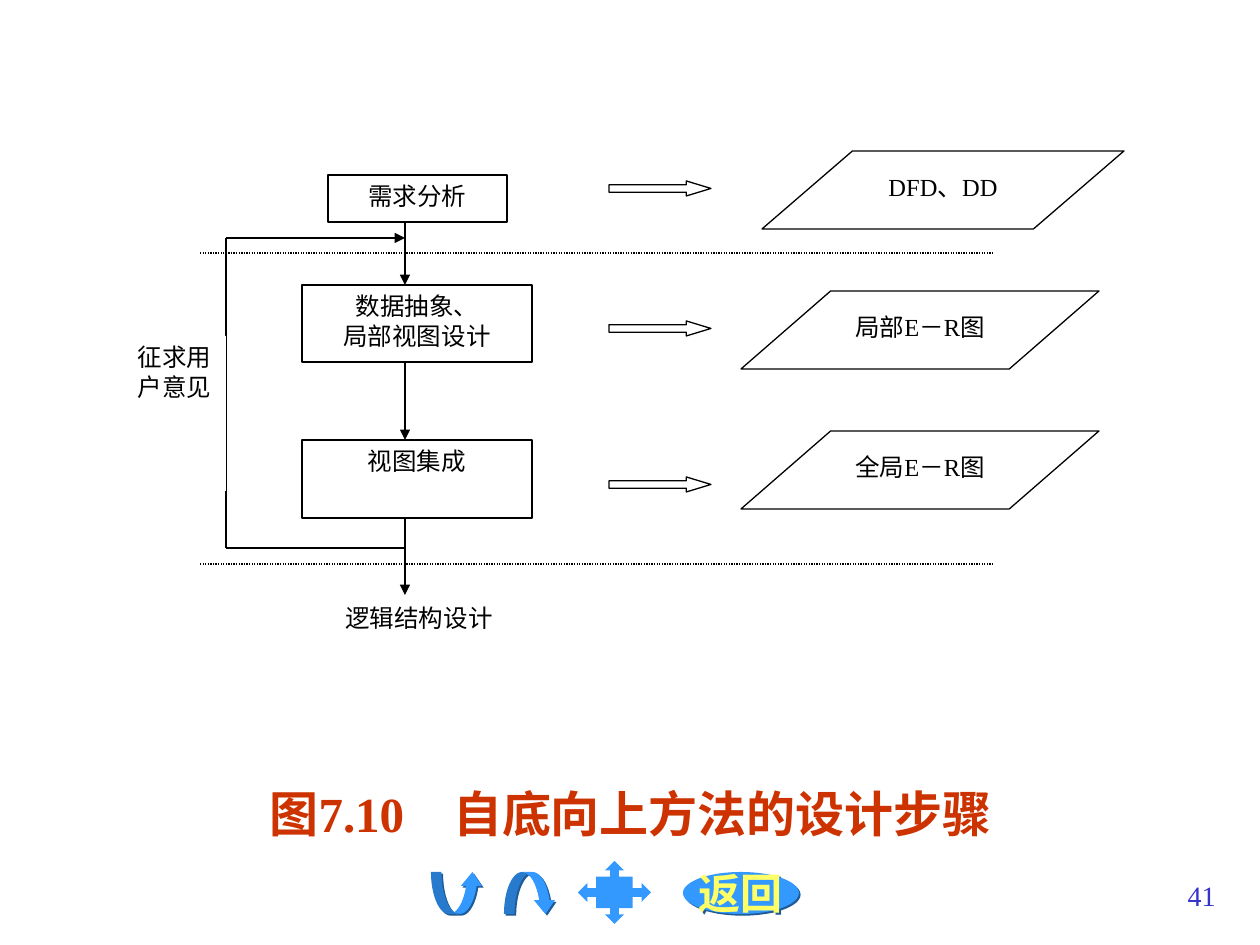
import pptx
import pptx.dml.color
import pptx.enum.dml
import pptx.enum.shapes
import pptx.enum.text
import pptx.oxml
import pptx.oxml.ns
import pptx.util

SCALE = 914400 / 126  # EMU per px
KINDS = pptx.enum.shapes.MSO_SHAPE
ALIGN = pptx.enum.text.PP_ALIGN
ANCHOR = pptx.enum.text.MSO_ANCHOR
NS = pptx.oxml.ns.nsdecls("a")
BLACK, WHITE, BLUE = "000000", "FFFFFF", "3399FF"


def rgb(color):
    return pptx.dml.color.RGBColor.from_string(color)


def write(shape, text, size, color, align=ALIGN.CENTER, bold=False, anchor=ANCHOR.TOP):
    """Fill a shape's text frame, one paragraph per line of text."""
    frame = shape.text_frame
    frame.text = text
    frame.word_wrap = True
    frame.auto_size = pptx.enum.text.MSO_AUTO_SIZE.NONE
    frame.vertical_anchor = anchor
    for paragraph in frame.paragraphs:
        paragraph.alignment = align
        paragraph.font.name = "Times New Roman"
        paragraph.font.size = pptx.util.Pt(size)
        paragraph.font.bold = bold
        paragraph.font.color.rgb = rgb(color)


presentation = pptx.Presentation()
presentation.slide_width = round(1260 * SCALE)
presentation.slide_height = round(945 * SCALE)
slide = presentation.slides.add_slide(presentation.slide_layouts[5])
shapes = slide.shapes

# Caption below the diagram
caption = shapes.title
caption.left, caption.top, caption.width, caption.height = [
    round(v * SCALE) for v in (95, 777, 1071, 84)]
write(caption, "图7.10　自底向上方法的设计步骤", 28, "CC3300", bold=True)

# Navigation buttons: kind, box, adjustments, shadow, text
buttons = [
    (KINDS.CURVED_UP_ARROW, (431, 872, 52, 42), (0.25, 0.5, 0.33), True, ""),
    (KINDS.CURVED_DOWN_ARROW, (504, 872, 52, 42), (0.25, 0.5, 0.33), True, ""),
    (KINDS.OVAL, (683, 872, 116, 42), (), True, "返回"),
    (KINDS.QUAD_ARROW_CALLOUT, (578, 861, 73, 63), (0.14, 0.15, 0.15, 0.5), False, ""),
]
for kind, box, adjustments, shadowed, text in buttons:
    button = shapes.add_shape(kind, *[round(v * SCALE) for v in box])
    button.shadow.inherit = False
    button.fill.solid()
    button.fill.fore_color.rgb = rgb(BLUE)
    button.line.fill.background()
    for i, value in enumerate(adjustments):
        button.adjustments[i] = value
    if shadowed:
        effects = button._element.spPr.find(pptx.oxml.ns.qn("a:effectLst"))
        effects.append(pptx.oxml.parse_xml(
            f'<a:outerShdw {NS} dist="17780" dir="2700000" algn="ctr" rotWithShape="0">'
            '<a:srgbClr val="1E5B98"/></a:outerShdw>'))
    if text:
        write(button, text, 24, "FFFF66", bold=True, anchor=ANCHOR.MIDDLE)
        button.text_frame.word_wrap = False

# Flow lines: start, end, arrowhead, dotted
flow_x, loop_x = 405, 226
lines = [
    ((flow_x, 222), (flow_x, 285), True, False),
    ((flow_x, 362), (flow_x, 440), True, False),
    ((flow_x, 518), (flow_x, 595), True, False),
    ((loop_x, 548), (flow_x, 548), False, False),
    ((loop_x, 548), (loop_x, 238), False, False),
    ((loop_x, 238), (flow_x, 238), True, False),
    ((200, 253), (992, 253), False, True),
    ((200, 564), (992, 564), False, True),
]
for start, end, arrowhead, dotted in lines:
    line = shapes.add_connector(
        pptx.enum.shapes.MSO_CONNECTOR.STRAIGHT,
        *[round(v * SCALE) for v in start + end])
    line.line.color.rgb = rgb(BLACK)
    line.line.width = pptx.util.Pt(0.75)
    if dotted:
        line.line.dash_style = pptx.enum.dml.MSO_LINE.ROUND_DOT
    if arrowhead:
        line.line._get_or_add_ln().append(
            pptx.oxml.parse_xml(f'<a:tailEnd {NS} type="triangle"/>'))
    line._element.spPr.append(pptx.oxml.parse_xml(f"<a:effectLst {NS}/>"))

# Steps, their results and labels: kind, box, adjustments, outlined, alignment, text
RECT, SLANTED = KINDS.RECTANGLE, KINDS.PARALLELOGRAM
blocks = [
    (RECT, (328, 175, 179, 47), (), True, ALIGN.CENTER, "需求分析"),
    (RECT, (302, 285, 230, 77), (), True, ALIGN.CENTER, "数据抽象、\n局部视图设计"),
    (RECT, (302, 440, 230, 78), (), True, ALIGN.CENTER, "视图集成"),
    (RECT, (123, 336, 103, 155), (), False, ALIGN.CENTER, "征求用户意见"),
    (SLANTED, (762, 151, 362, 78), (1.16,), True, ALIGN.CENTER, "DFD、DD"),
    (SLANTED, (741, 291, 358, 78), (1.15,), True, ALIGN.CENTER, "局部E－R图"),
    (SLANTED, (741, 431, 358, 78), (1.15,), True, ALIGN.CENTER, "全局E－R图"),
    (RECT, (333, 597, 433, 62), (), False, ALIGN.JUSTIFY, "逻辑结构设计"),
]
for arrow_top in (181, 321, 477):
    blocks.append((KINDS.RIGHT_ARROW, (609, arrow_top, 102, 15), (0.5, 1.64),
                   True, ALIGN.CENTER, ""))
for kind, box, adjustments, outlined, align, text in blocks:
    block = shapes.add_shape(kind, *[round(v * SCALE) for v in box])
    block.shadow.inherit = False
    block.fill.solid()
    block.fill.fore_color.rgb = rgb(WHITE)
    if outlined:
        block.line.color.rgb = rgb(BLACK)
        block.line.width = pptx.util.Pt(0.75)
    else:
        block.line.fill.background()
    for i, value in enumerate(adjustments):
        block.adjustments[i] = value
    if text:
        write(block, text, 14, BLACK, align)

page_number = shapes.add_textbox(*[round(v * SCALE) for v in (966, 872, 262, 63)])
write(page_number, "41", 16, "3333CC", ALIGN.RIGHT)

presentation.save("out.pptx")
